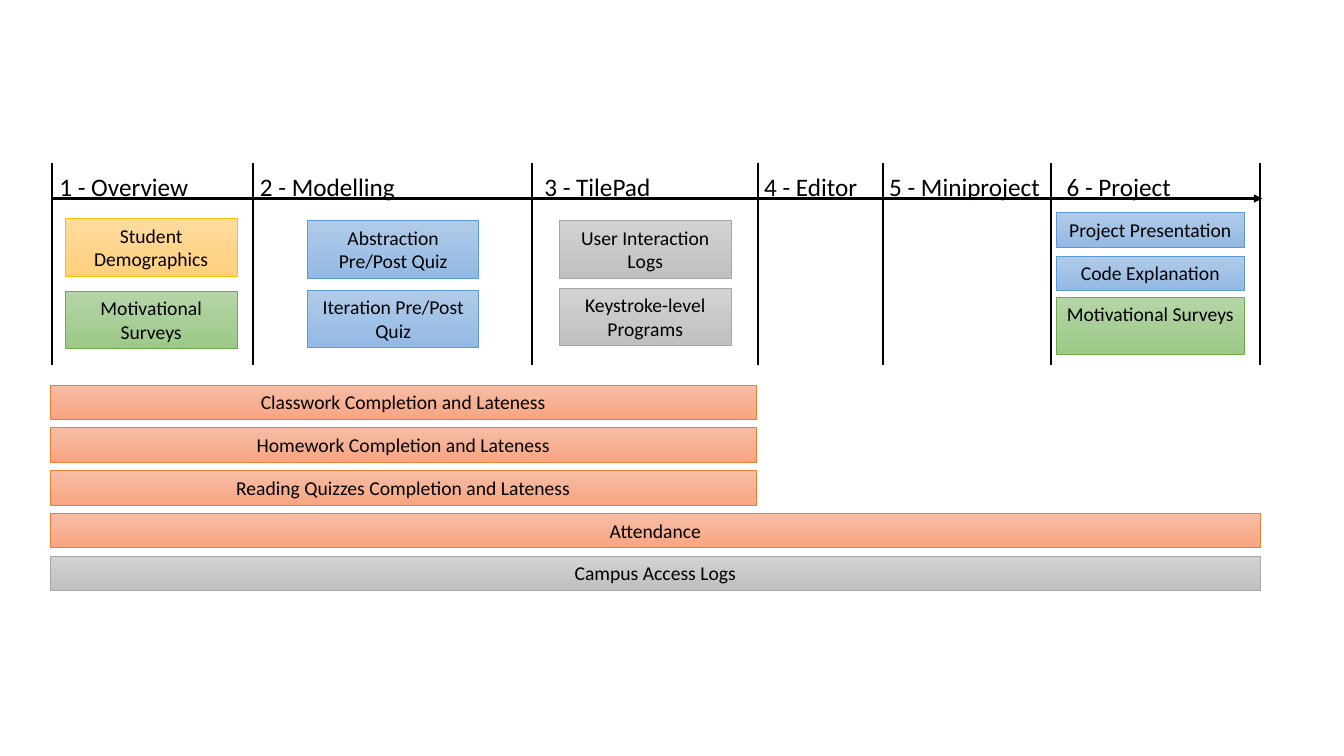
from lxml import etree
from pptx import Presentation
from pptx.dml.color import RGBColor
from pptx.enum.shapes import MSO_CONNECTOR, MSO_SHAPE
from pptx.enum.text import MSO_ANCHOR, PP_ALIGN
from pptx.oxml.ns import qn
from pptx.util import Inches, Pt

RECTANGLE = MSO_SHAPE.RECTANGLE
STRAIGHT = MSO_CONNECTOR.STRAIGHT
TOP = MSO_ANCHOR.TOP
LEFT, CENTER = PP_ALIGN.LEFT, PP_ALIGN.CENTER

FONT = "Calibri"
BLACK = RGBColor(0x00, 0x00, 0x00)

# Each palette: gradient top, gradient bottom, outline
GRAY = (RGBColor(0xD2, 0xD2, 0xD2), RGBColor(0xC0, 0xC0, 0xC0), RGBColor(0xA5, 0xA5, 0xA5))
BLUE = (RGBColor(0xB1, 0xCB, 0xE9), RGBColor(0x93, 0xB9, 0xE4), RGBColor(0x5B, 0x9B, 0xD5))
ORANGE = (RGBColor(0xF7, 0xBD, 0xA5), RGBColor(0xF8, 0xA5, 0x82), RGBColor(0xED, 0x7D, 0x31))
YELLOW = (RGBColor(0xFF, 0xDB, 0x9E), RGBColor(0xFF, 0xD0, 0x7C), RGBColor(0xFF, 0xC0, 0x00))
GREEN = (RGBColor(0xB5, 0xD5, 0xA7), RGBColor(0x9C, 0xC9, 0x87), RGBColor(0x70, 0xAD, 0x47))

ONE_LINE, TWO_LINES = 0.34, 0.57
MARK_TOP, MARK_BOTTOM, AXIS_Y = 1.62, 3.62, 1.97
TIMELINE_START, TIMELINE_END = 0.52, 12.5
BAR_LEFT, FIRST_BAR_TOP, LAST_BAR_TOP = 0.5, 3.82, 5.52

# Stage name, start of the stage, left of its label, width of its label
STAGES = [
    ("1 - Overview", TIMELINE_START, 0.49, 1.49),
    ("2 - Modelling", 2.51, 2.48, 1.56),
    ("3 - TilePad", 5.28, 5.3, 1.32),
    ("4 - Editor", 7.52, 7.48, 1.23),
    ("5 - Miniproject", 8.76, 8.72, 1.71),
    ("6 - Project", 10.42, 10.48, 1.25),
]

# Left and width of a stage's column, then its sources: name, top, height, palette
SOURCE_COLUMNS = [
    (0.65, 1.7, [("Student Demographics", 2.17, TWO_LINES, YELLOW),
                 ("Motivational Surveys", 2.89, TWO_LINES, GREEN)]),
    (3.05, 1.7, [("Abstraction Pre/Post Quiz", 2.19, TWO_LINES, BLUE),
                 ("Iteration Pre/Post Quiz", 2.88, TWO_LINES, BLUE)]),
    (5.55, 1.7, [("User Interaction Logs", 2.19, TWO_LINES, GRAY),
                 ("Keystroke-level Programs", 2.86, TWO_LINES, GRAY)]),
    (10.48, 1.86, [("Project Presentation", 2.11, ONE_LINE, BLUE),
                   ("Code Explanation", 2.54, ONE_LINE, BLUE),
                   ("Motivational Surveys", 2.95, TWO_LINES, GREEN)]),
]

# Sources that span several stages: name, width, palette
SPANNING_SOURCES = [
    ("Classwork Completion and Lateness", 7, ORANGE),
    ("Homework Completion and Lateness", 7, ORANGE),
    ("Reading Quizzes Completion and Lateness", 7, ORANGE),
    ("Attendance", 12, ORANGE),
    ("Campus Access Logs", 12, GRAY),
]


def write_text(shape, text, size, align, wrap):
    """Put one black paragraph at the top of a shape."""
    frame = shape.text_frame
    frame.text = text
    frame.word_wrap = wrap
    frame.vertical_anchor = TOP
    paragraph = frame.paragraphs[0]
    paragraph.alignment = align
    font = paragraph.runs[0].font
    font.name, font.size = FONT, Pt(size)
    font.color.rgb = BLACK


def add_source(slide, text, left, top, width, height, palette):
    """Draw a data source as a shaded, outlined box."""
    box = slide.shapes.add_shape(
        RECTANGLE, Inches(left), Inches(top), Inches(width), Inches(height))
    box.shadow.inherit = False
    upper, lower, outline = palette
    box.fill.gradient()
    box.fill.gradient_angle = 270
    for stop, color in zip(box.fill.gradient_stops, (upper, lower)):
        stop.color.rgb = color
    box.line.color.rgb = outline
    box.line.width = Pt(0.5)
    write_text(box, text, 14, CENTER, True)


def add_line(slide, x1, y1, x2, y2, arrow=False):
    """Draw a black line, with an arrowhead at its end if asked."""
    line = slide.shapes.add_connector(
        STRAIGHT, Inches(x1), Inches(y1), Inches(x2), Inches(y2))
    line.line.color.rgb = BLACK
    line.line.width = Pt(1.5)
    if arrow:
        etree.SubElement(line.line._get_or_add_ln(), qn("a:tailEnd"), type="triangle")
    etree.SubElement(line._element.spPr, qn("a:effectLst"))


def add_stage_label(slide, text, left, width):
    """Write a stage name above the time axis."""
    label = slide.shapes.add_textbox(
        Inches(left), Inches(1.65), Inches(width), Inches(0.4))
    write_text(label, text, 18, LEFT, False)


def main():
    """Build the timeline of course stages and their data sources."""
    deck = Presentation()
    deck.slide_width, deck.slide_height = Inches(13.33), Inches(7.5)
    slide = deck.slides.add_slide(deck.slide_layouts[6])

    for left, width, sources in SOURCE_COLUMNS:
        for name, top, height, palette in sources:
            add_source(slide, name, left, top, width, height, palette)
    bar_pitch = (LAST_BAR_TOP - FIRST_BAR_TOP) / (len(SPANNING_SOURCES) - 1)
    for row, (name, width, palette) in enumerate(SPANNING_SOURCES):
        add_source(slide, name, BAR_LEFT, FIRST_BAR_TOP + row * bar_pitch,
                   width, ONE_LINE, palette)

    add_line(slide, TIMELINE_START, AXIS_Y, TIMELINE_START + 12, AXIS_Y, arrow=True)
    for mark in [start for _, start, _, _ in STAGES] + [TIMELINE_END]:
        add_line(slide, mark, MARK_TOP, mark, MARK_BOTTOM)
    for name, _, left, width in STAGES:
        add_stage_label(slide, name, left, width)

    deck.save("out.pptx")


main()
